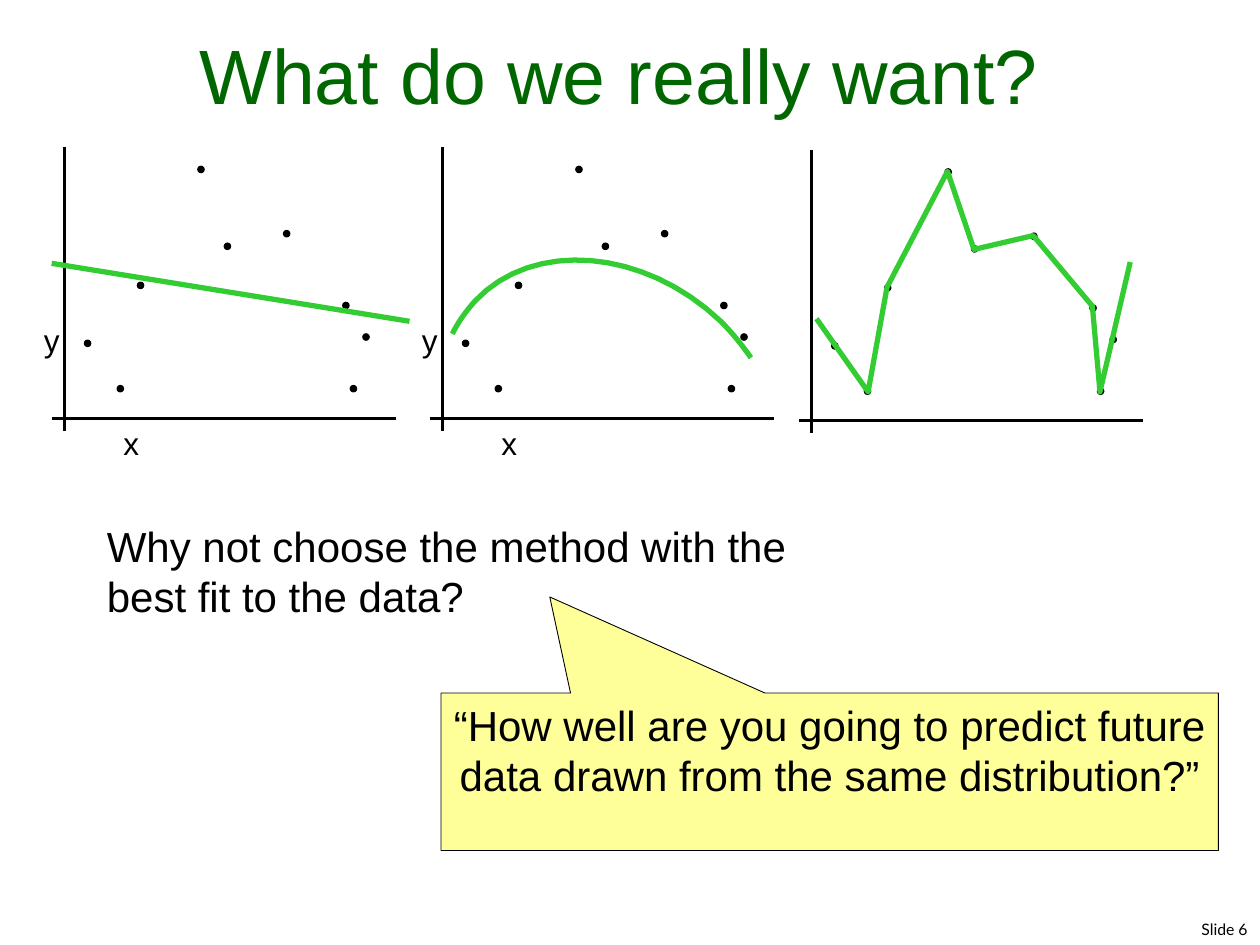
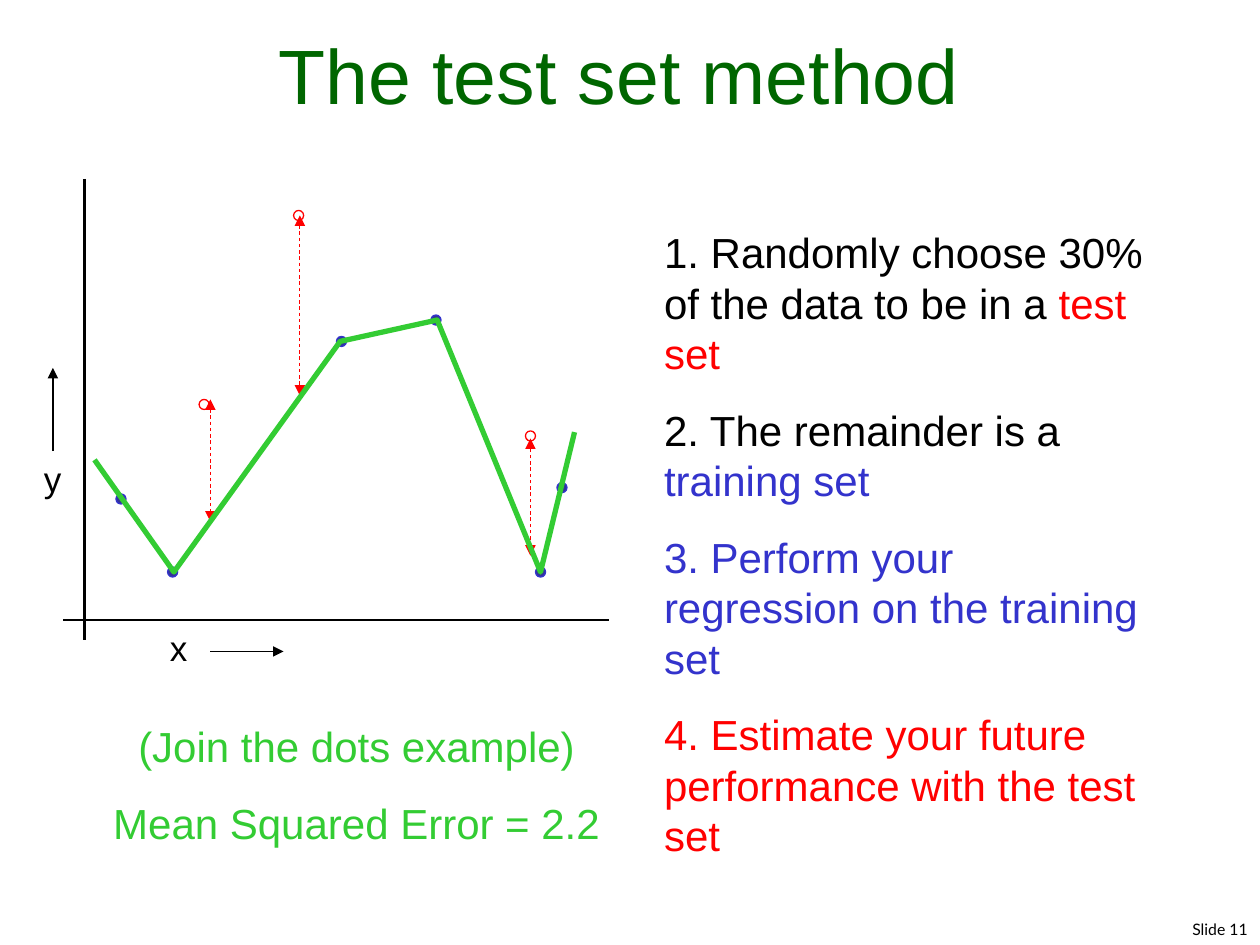
"""Build two regression slides: comparing fits and the test set method."""
from dataclasses import dataclass
from typing import NamedTuple, Optional

from lxml import etree
from pptx import Presentation
from pptx.dml.color import RGBColor
from pptx.enum.dml import MSO_LINE
from pptx.enum.shapes import MSO_CONNECTOR, MSO_SHAPE
from pptx.enum.text import MSO_ANCHOR, MSO_AUTO_SIZE, PP_ALIGN
from pptx.oxml.ns import qn
from pptx.slide import Slide
from pptx.text.text import TextFrame, _Paragraph
from pptx.util import Inches, Pt

LEFT, CENTER, RIGHT = PP_ALIGN.LEFT, PP_ALIGN.CENTER, PP_ALIGN.RIGHT
STRAIGHT = MSO_CONNECTOR.STRAIGHT
ELLIPSE, CALLOUT = MSO_SHAPE.OVAL, MSO_SHAPE.RECTANGULAR_CALLOUT
TOP, BOTTOM = MSO_ANCHOR.TOP, MSO_ANCHOR.BOTTOM
FIXED_SIZE = MSO_AUTO_SIZE.NONE
DASH = MSO_LINE.DASH
TITLE_ONLY, TITLE_AND_CONTENT = 5, 1


@dataclass(frozen=True)
class Theme:
    """Colours, fonts, type sizes and line widths in points."""
    black: RGBColor = RGBColor(0, 0, 0)
    white: RGBColor = RGBColor(255, 255, 255)
    title: RGBColor = RGBColor(0, 0x66, 0)
    fit: RGBColor = RGBColor(0x33, 0xCC, 0x33)
    test: RGBColor = RGBColor(255, 0, 0)
    training: RGBColor = RGBColor(0x33, 0x33, 0xCC)
    training_fill: RGBColor = RGBColor(0x33, 0x33, 0x99)
    callout: RGBColor = RGBColor(0xFF, 0xFF, 0x99)
    font: str = "Arial"
    footer_font: str = "Lato"
    title_size: float = 44
    body_size: float = 24
    large_label_size: float = 20
    label_size: float = 18
    footer_size: float = 9
    paragraph_gap: float = 15
    fit_width: float = 3
    axis_width: float = 1.5
    thin_width: float = 0.75
    hair_width: float = 0.5


THEME = Theme()


class Point(NamedTuple):
    """A position in inches."""
    x: float
    y: float


class Box(NamedTuple):
    """A rectangle in inches."""
    left: float
    top: float
    width: float
    height: float


class Stroke(NamedTuple):
    """The look of a line."""
    color: RGBColor
    width: float
    dashed: bool = False
    head: bool = False
    tail: bool = False


class Dot(NamedTuple):
    """The look of a data point."""
    size: float
    fill: RGBColor
    line: RGBColor


class Span(NamedTuple):
    """Words in one colour."""
    text: str
    color: RGBColor


class Panel(NamedTuple):
    """One scatter plot with its fitted curve."""
    origin: Point
    curve: list[Point]
    labelled: bool


AXIS = Stroke(THEME.black, THEME.axis_width)
FIT = Stroke(THEME.fit, THEME.fit_width)
POINTER = Stroke(THEME.black, THEME.thin_width, tail=True)
RESIDUAL = Stroke(THEME.test, THEME.hair_width, dashed=True, head=True, tail=True)
SAMPLE_DOT = Dot(0.05, THEME.black, THEME.black)
TRAINING_DOT = Dot(0.08, THEME.training_fill, THEME.training)
TEST_DOT = Dot(0.08, THEME.white, THEME.test)

SAMPLES = [Point(0.67, 2.7), Point(0.93, 3.06), Point(1.09, 2.24),
           Point(1.57, 1.32), Point(1.78, 1.93), Point(2.25, 1.83),
           Point(2.78, 3.06), Point(2.88, 2.65), Point(2.72, 2.4)]
TRAINING_POINTS = [Point(0.92, 3.92), Point(1.33, 4.5), Point(2.67, 2.67),
                   Point(3.42, 2.5), Point(4.25, 4.5), Point(4.42, 3.83)]
TEST_POINTS = [Point(1.58, 3.17), Point(2.33, 1.67), Point(4.17, 3.42)]
RESIDUALS = [(Point(1.67, 3.17), Point(1.67, 4.14)),
             (Point(2.38, 1.71), Point(2.38, 3.14)),
             (Point(4.21, 4.41), Point(4.21, 3.48))]
STRAIGHT_FIT = [Point(0.41, 2.09), Point(3.25, 2.55)]
ARC_CONTROLS = [Point(2.96, 2.84), Point(2.89, 2.74), Point(2.81, 2.64),
                Point(2.72, 2.55), Point(2.11, 1.97), Point(1.23, 1.9),
                Point(0.77, 2.39), Point(0.7, 2.47), Point(0.64, 2.55),
                Point(0.59, 2.65)]
JOINED_SAMPLES = [Point(0.55, 2.51), Point(0.96, 3.09), Point(1.11, 2.26),
                  Point(1.59, 1.34), Point(1.8, 1.96), Point(2.27, 1.85),
                  Point(2.74, 2.41), Point(2.8, 3.09), Point(3.04, 2.06)]
JOINED_TRAINING = [Point(0.75, 3.65), Point(1.38, 4.54), Point(2.7, 2.71),
                   Point(3.47, 2.54), Point(4.29, 4.54), Point(4.56, 3.43)]
STEPS = [
    [Span("1. Randomly choose 30% of the data to be in a ", THEME.black),
     Span("test set", THEME.test)],
    [Span("2. The remainder is a ", THEME.black),
     Span("training set", THEME.training)],
    [Span("3. Perform your regression on the training set", THEME.training)],
    [Span("4. Estimate your future performance with the test set", THEME.test)],
]


def bezier_points(controls: list[Point], steps: int = 16) -> list[Point]:
    """Sample a chain of cubic curves."""
    points = [controls[0]]
    for start in range(0, len(controls) - 1, 3):
        a, b, c, d = controls[start:start + 4]
        for step in range(1, steps + 1):
            t = step / steps
            weights = ((1 - t) ** 3, 3 * t * (1 - t) ** 2, 3 * t * t * (1 - t), t ** 3)
            points.append(Point(*(sum(w * v for w, v in zip(weights, values))
                                  for values in zip(a, b, c, d))))
    return points


def shift(point: Point, origin: Point) -> Point:
    """Move a point by an origin."""
    return Point(point.x + origin.x, point.y + origin.y)


def place(shape, box: Box) -> None:
    """Put a shape at a box."""
    shape.left, shape.top, shape.width, shape.height = map(Inches, box)


def style_paragraph(paragraph: _Paragraph, size: float, color: Optional[RGBColor],
                    align: PP_ALIGN = LEFT, font: str = THEME.font) -> None:
    """Set alignment and font of a paragraph."""
    paragraph.alignment = align
    paragraph.font.name = font
    paragraph.font.size = Pt(size)
    if color is not None:
        paragraph.font.color.rgb = color


def write_lines(frame: TextFrame, lines: list[str], size: float, color: RGBColor,
                align: PP_ALIGN = LEFT, font: str = THEME.font) -> None:
    """Fill a text frame with evenly styled paragraphs."""
    for index, line in enumerate(lines):
        paragraph = frame.add_paragraph() if index else frame.paragraphs[0]
        paragraph.text = line
        paragraph.space_before = Pt(THEME.paragraph_gap if index else 0)
        style_paragraph(paragraph, size, color, align, font)


def add_text(slide: Slide, box: Box, lines: list[str], size: float,
             color: RGBColor = THEME.black, align: PP_ALIGN = LEFT,
             font: str = THEME.font, wrap: bool = True) -> None:
    """Add a text box."""
    frame = slide.shapes.add_textbox(*map(Inches, box)).text_frame
    frame.word_wrap = wrap
    write_lines(frame, lines, size, color, align, font)


def add_line(slide: Slide, start: Point, end: Point, stroke: Stroke) -> None:
    """Add a straight line, with arrowheads if asked for."""
    connector = slide.shapes.add_connector(STRAIGHT, *map(Inches, (*start, *end)))
    connector.line.color.rgb = stroke.color
    connector.line.width = Pt(stroke.width)
    if stroke.dashed:
        connector.line.dash_style = DASH
    properties = connector._element.spPr
    for wanted, tag in ((stroke.head, "a:headEnd"), (stroke.tail, "a:tailEnd")):
        if wanted:
            etree.SubElement(properties.get_or_add_ln(), qn(tag), type="triangle")
    etree.SubElement(properties, qn("a:effectLst"))


def add_curve(slide: Slide, points: list[Point], stroke: Stroke) -> None:
    """Add an open curve through the points."""
    if len(points) == 2:
        add_line(slide, points[0], points[1], stroke)
        return
    start, *rest = [(Inches(point.x), Inches(point.y)) for point in points]
    builder = slide.shapes.build_freeform(*start)
    builder.add_line_segments(rest, close=False)
    shape = builder.convert_to_shape()
    shape.shadow.inherit = False
    shape.fill.background()
    shape.line.color.rgb = stroke.color
    shape.line.width = Pt(stroke.width)


def add_filled(slide: Slide, kind: MSO_SHAPE, box: Box, fill: RGBColor,
               line: RGBColor, width: float):
    """Add a filled and outlined preset shape."""
    shape = slide.shapes.add_shape(kind, *map(Inches, box))
    shape.shadow.inherit = False
    shape.fill.solid()
    shape.fill.fore_color.rgb = fill
    shape.line.color.rgb = line
    shape.line.width = Pt(width)
    return shape


def add_dots(slide: Slide, points: list[Point], dot: Dot) -> None:
    """Add data points by their top left corners."""
    for point in points:
        add_filled(slide, ELLIPSE, Box(*point, dot.size, dot.size),
                   dot.fill, dot.line, THEME.thin_width)


def add_slide(presentation, layout: int, title: str, number: int) -> Slide:
    """Add a slide with its title and slide number."""
    slide = presentation.slides.add_slide(presentation.slide_layouts[layout])
    add_text(slide, Box(6.08, 7.25, 3.92, 0.27), [f"Slide {number}"],
             THEME.footer_size, align=RIGHT, font=THEME.footer_font)
    place(slide.shapes.title, Box(0.25, 0.17, 9.33, 0.83))
    frame = slide.shapes.title.text_frame
    frame.auto_size = FIXED_SIZE
    frame.vertical_anchor = BOTTOM
    write_lines(frame, [title], THEME.title_size, THEME.title, CENTER)
    return slide


def add_panel(slide: Slide, panel: Panel) -> None:
    """Draw one scatter plot with its fit."""
    origin = panel.origin
    add_line(slide, shift(Point(0.51, 1.17), origin), shift(Point(0.51, 3.42), origin), AXIS)
    add_line(slide, shift(Point(0.41, 3.32), origin), shift(Point(3.14, 3.32), origin), AXIS)
    add_dots(slide, [shift(point, origin) for point in SAMPLES], SAMPLE_DOT)
    if panel.labelled:
        for label, corner in (("x", Point(0.88, 3.32)), ("y", Point(0.25, 2.5))):
            add_text(slide, Box(*shift(corner, origin), 0.21, 0.4), [label], THEME.label_size)
    add_curve(slide, [shift(point, origin) for point in panel.curve], FIT)


def build_fits(presentation) -> None:
    """Compare three fits of the same data."""
    slide = add_slide(presentation, TITLE_ONLY, "What do we really want?", 6)
    for panel in (Panel(Point(0, 0), STRAIGHT_FIT, True),
                  Panel(Point(3, 0), bezier_points(ARC_CONTROLS), True),
                  Panel(Point(5.93, 0.02), JOINED_SAMPLES, False)):
        add_panel(slide, panel)
    add_text(slide, Box(0.75, 4.08, 5.67, 0.9),
             ["Why not choose the method with the best fit to the data?"], THEME.body_size)
    callout = add_filled(slide, CALLOUT, Box(3.5, 5.5, 6.17, 1.25),
                         THEME.callout, THEME.black, THEME.hair_width)
    callout.adjustments[0], callout.adjustments[1] = -0.36, -1.11
    callout.text_frame.word_wrap = True
    callout.text_frame.vertical_anchor = TOP
    write_lines(callout.text_frame, ["“How well are you going to predict future data "
                                     "drawn from the same distribution?”"],
                THEME.body_size, THEME.black, CENTER)


def fill_steps(slide: Slide) -> None:
    """Write the steps into the body placeholder."""
    body = slide.placeholders[1]
    place(body, Box(5.17, 1.75, 4, 5.13))
    frame = body.text_frame
    frame.auto_size = FIXED_SIZE
    for index, spans in enumerate(STEPS):
        paragraph = frame.add_paragraph() if index else frame.paragraphs[0]
        properties = paragraph._element.get_or_add_pPr()
        properties.set("marL", "0")
        properties.set("indent", "0")
        etree.SubElement(properties, qn("a:buNone"))
        paragraph.space_before = Pt(THEME.paragraph_gap if index else 0)
        style_paragraph(paragraph, THEME.body_size, None)
        for span in spans:
            run = paragraph.add_run()
            run.text = span.text
            run.font.color.rgb = span.color


def build_test_set(presentation) -> None:
    """Explain the test set method."""
    slide = add_slide(presentation, TITLE_AND_CONTENT, "The test set method", 11)
    fill_steps(slide)
    add_line(slide, Point(0.67, 1.42), Point(0.67, 5.08), AXIS)
    add_line(slide, Point(0.5, 4.92), Point(4.83, 4.92), AXIS)
    add_dots(slide, TRAINING_POINTS, TRAINING_DOT)
    add_dots(slide, TEST_POINTS, TEST_DOT)
    for label, corner, start, end in (
            ("x", Point(1.25, 4.92), Point(1.67, 5.17), Point(2.25, 5.17)),
            ("y", Point(0.25, 3.58), Point(0.42, 3.58), Point(0.42, 2.92))):
        add_text(slide, Box(*corner, 0.33, 0.44), [label], THEME.large_label_size)
        add_line(slide, start, end, POINTER)
    add_text(slide, Box(0.8, 5.67, 4.06, 1.11),
             ["(Join the dots example)", "Mean Squared Error = 2.2"],
             THEME.body_size, THEME.fit, CENTER, wrap=False)
    for start, end in RESIDUALS:
        add_line(slide, start, end, RESIDUAL)
    add_curve(slide, JOINED_TRAINING, FIT)


def main() -> None:
    """Build and save the presentation."""
    presentation = Presentation()
    presentation.slide_width, presentation.slide_height = Inches(10), Inches(7.5)
    build_fits(presentation)
    build_test_set(presentation)
    presentation.save("out.pptx")


if __name__ == "__main__":
    main()
